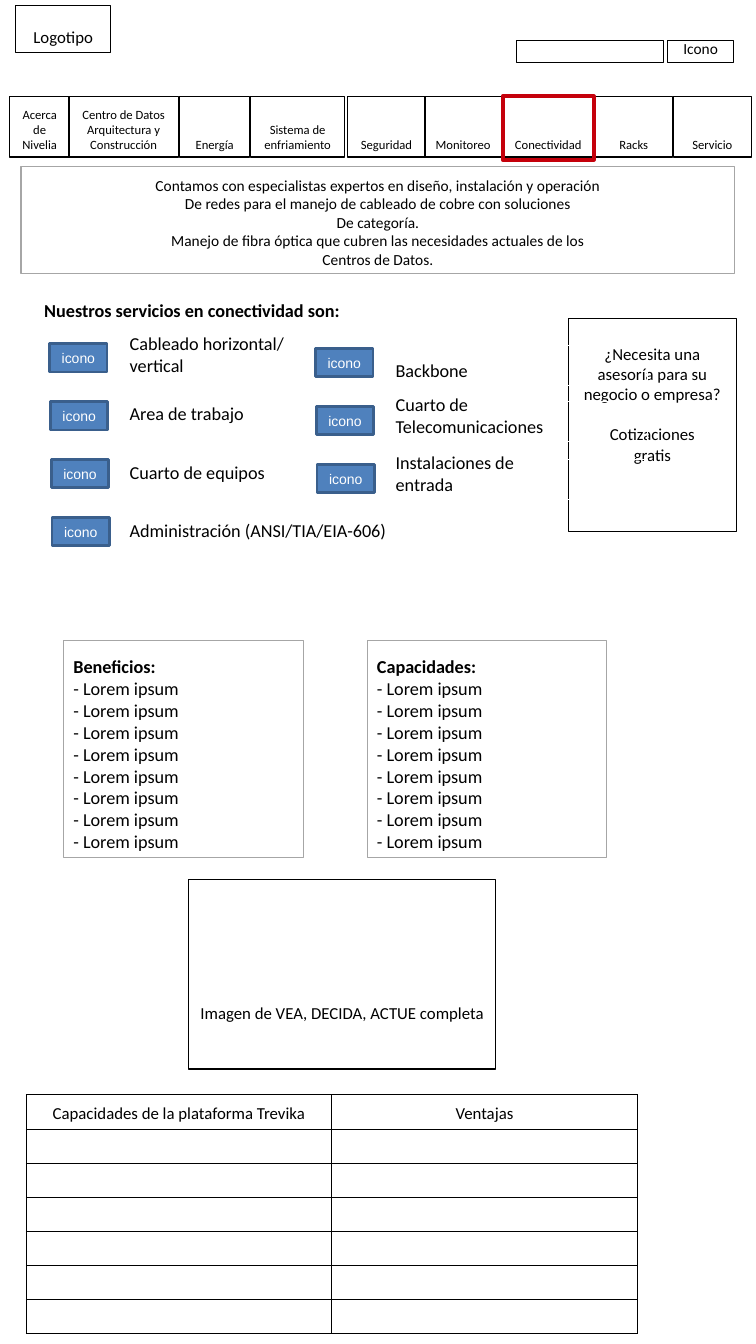
import pptx
import pptx.dml.color
import pptx.enum.shapes
import pptx.enum.text
import pptx.oxml.ns
import pptx.util
from lxml import etree

Cm = pptx.util.Cm
RGBColor = pptx.dml.color.RGBColor
ALIGN = pptx.enum.text.PP_ALIGN
ANCHOR = pptx.enum.text.MSO_ANCHOR

BLACK = RGBColor(0x00, 0x00, 0x00)
WHITE = RGBColor(0xFF, 0xFF, 0xFF)
GRAY = RGBColor(0xA6, 0xA6, 0xA6)
RED = RGBColor(0xC5, 0x00, 0x0B)
BLUE = RGBColor(0x4F, 0x81, 0xBD)
DARK_BLUE = RGBColor(0x3A, 0x5F, 0x8C)

SECTIONS = [
    ("Acerca de Nivelia", 0, 1.5),
    ("Centro de Datos Arquitectura y Construcción", 1.48, 2.77),
    ("Energía", 4.27, 1.78),
    ("Sistema de enfriamiento", 6.07, 2.36),
    ("Seguridad", 8.51, 1.96),
    ("Monitoreo", 10.44, 1.96),
    ("Conectividad", 12.42, 2.29),
    ("Racks", 14.74, 1.96),
    ("Servicio", 16.72, 1.96),
]
CURRENT_SECTION = "Conectividad"
INTRODUCTION = [
    "Contamos con especialistas expertos en diseño, instalación y operación",
    "De redes para el manejo de cableado de cobre con soluciones",
    "De categoría.",
    "Manejo de fibra óptica que cubren las necesidades actuales de los",
    "Centros de Datos.",
]
LEFT_SERVICES = [
    ("Cableado horizontal/\nvertical", 0.08, 6.6),
    ("Area de trabajo", 0.33, 6.6),
    ("Cuarto de equipos", 0.31, 6.6),
    ("Administración (ANSI/TIA/EIA-606)", 0.31, 8.41),
]
RIGHT_SERVICES = [
    ("Backbone", 0.08, 6.6),
    ("Cuarto de\nTelecomunicaciones", 0.13, 6.6),
    ("Instalaciones de\nentrada", 0.13, 6.6),
]
PLATFORM_HEADINGS = ["Capacidades de la plataforma Trevika", "Ventajas"]
PLATFORM_ROWS = 7


def write(frame, text, size=12, font="Calibri", color=BLACK, align=ALIGN.CENTER,
          anchor=ANCHOR.BOTTOM, bold_heading=False):
    """Fill a text frame, one paragraph per line, with an optional bold first line."""
    frame.text = text
    frame.word_wrap = True
    frame.vertical_anchor = anchor
    for index, paragraph in enumerate(frame.paragraphs):
        paragraph.alignment = align
        for run in paragraph.runs:
            run.font.size = pptx.util.Pt(size)
            run.font.name = font
            run.font.bold = bold_heading and index == 0
            run.font.color.rgb = color


def add_box(slide, left, top, width, height, line=BLACK, weight=0.75, fill=None):
    """Add an outlined rectangle, measured in centimetres."""
    box = slide.shapes.add_shape(pptx.enum.shapes.MSO_SHAPE.RECTANGLE,
                                 Cm(left), Cm(top), Cm(width), Cm(height))
    box.shadow.inherit = False
    box.line.color.rgb = line
    box.line.width = pptx.util.Pt(weight)
    if fill is None:
        box.fill.background()
    else:
        box.fill.solid()
        box.fill.fore_color.rgb = fill
    return box


def add_header(slide, left, top):
    """Place the logo, search field and icon boxes."""
    logo = add_box(slide, left, top, 2.39, 1.19)
    write(logo.text_frame, "Logotipo")
    add_box(slide, left + 12.62, top + 0.89, 3.71, 0.56)
    icon = add_box(slide, left + 16.43, top + 0.89, 1.65, 0.56)
    write(icon.text_frame, "Icono", size=11)


def add_navigation(slide, left, top, height):
    """Place the section tabs and mark the current one."""
    for label, offset, width in SECTIONS:
        tab = add_box(slide, left + offset, top, width, height)
        write(tab.text_frame, label, size=9)
    for label, offset, width in SECTIONS:
        if label == CURRENT_SECTION:
            add_box(slide, left + offset, top, width, height + 0.07, RED, 2.83)


def add_introduction(slide, left, top, width, height):
    """Place the centred opening text."""
    introduction = add_box(slide, left, top, width, height, GRAY)
    write(introduction.text_frame, "\n".join(INTRODUCTION), size=11)


def add_heading(slide, left, top, width, height):
    """Move and format the title placeholder."""
    heading = slide.shapes.title
    heading.left, heading.top = Cm(left), Cm(top)
    heading.width, heading.height = Cm(width), Cm(height)
    heading.text_frame.auto_size = pptx.enum.text.MSO_AUTO_SIZE.NONE
    write(heading.text_frame, "Nuestros servicios en conectividad son:", size=13,
          align=ALIGN.LEFT, bold_heading=True)


def add_advice(slide, left, top, width, height):
    """Place the call for advice and quotes."""
    frame = add_box(slide, left, top, width, height).text_frame
    write(frame, "¿Necesita una asesoría para su negocio o empresa?\nCotizaciones\ngratis")
    frame.paragraphs[1].space_before = pptx.util.Pt(14.6)
    frame.margin_bottom = Cm(1.68)


def add_services(slide, services, left, top):
    """Place a column of icons with their service labels."""
    for row, (service, rise, width) in enumerate(services):
        icon_left, icon_top = left + 0.02 * row, top + 1.46 * row
        label = add_box(slide, left + 1.77, icon_top - rise, width, 1.02, WHITE)
        write(label.text_frame, service, size=13, align=ALIGN.LEFT)
        icon = add_box(slide, icon_left, icon_top, 1.45, 0.71, DARK_BLUE, 2, BLUE)
        write(icon.text_frame, "icono", size=10, font="Arial", color=WHITE,
              anchor=ANCHOR.MIDDLE)


def add_list(slide, heading, left, top, width, height):
    """Place a headed list of sample items."""
    items = add_box(slide, left, top, width, height, GRAY)
    write(items.text_frame, "\n".join([heading] + ["- Lorem ipsum"] * 8), size=13,
          align=ALIGN.LEFT, bold_heading=True)


def add_image_area(slide, left, top, width, height):
    """Place the box reserved for the campaign image."""
    frame = add_box(slide, left, top, width, height).text_frame
    write(frame, "Imagen de VEA, DECIDA, ACTUE completa")
    frame.margin_bottom = Cm(1.16)


def add_borders(cell):
    """Draw a thin black line on each side of a table cell."""
    qn = pptx.oxml.ns.qn
    properties = cell._tc.get_or_add_tcPr()
    for side in ("a:lnL", "a:lnR", "a:lnT", "a:lnB"):
        border = etree.SubElement(properties, qn(side), w="9525")
        fill = etree.SubElement(border, qn("a:solidFill"))
        etree.SubElement(fill, qn("a:srgbClr"), val=str(BLACK))


def add_platform_table(slide, left, top, width, height):
    """Place the two-column platform table with empty rows."""
    columns = len(PLATFORM_HEADINGS)
    platform = slide.shapes.add_table(PLATFORM_ROWS, columns, Cm(left), Cm(top),
                                      Cm(width), Cm(height)).table
    platform.first_row = False
    platform.horz_banding = False
    for cell in platform.iter_cells():
        add_borders(cell)
        cell.fill.solid()
        cell.fill.fore_color.rgb = WHITE
        cell.margin_top = cell.margin_bottom = 0
    for column, heading in enumerate(PLATFORM_HEADINGS):
        cell = platform.cell(0, column)
        write(cell.text_frame, heading)
        cell.vertical_anchor = ANCHOR.BOTTOM
        cell.margin_bottom = Cm(0.13)


def main():
    """Build the connectivity page and save it."""
    presentation = pptx.Presentation()
    presentation.slide_width = Cm(19.05)
    presentation.slide_height = Cm(33.88)
    slide = presentation.slides.add_slide(presentation.slide_layouts[5])
    add_header(slide, 0.4, 0.13)
    add_navigation(slide, 0.25, 2.43, 1.53)
    add_introduction(slide, 0.53, 4.19, 17.99, 2.7)
    add_heading(slide, 0.86, 7.21, 8.33, 1.02)
    add_advice(slide, 14.33, 8.03, 4.22, 5.36)
    add_services(slide, LEFT_SERVICES, 1.25, 8.67)
    add_services(slide, RIGHT_SERVICES, 7.95, 8.79)
    add_list(slide, "Beneficios:", 1.6, 16.15, 6.04, 5.46)
    add_list(slide, "Capacidades:", 9.25, 16.15, 6.04, 5.46)
    add_image_area(slide, 4.75, 22.18, 7.75, 4.77)
    add_platform_table(slide, 0.66, 27.6, 15.4, 6.02)
    presentation.save("out.pptx")


if __name__ == "__main__":
    main()
